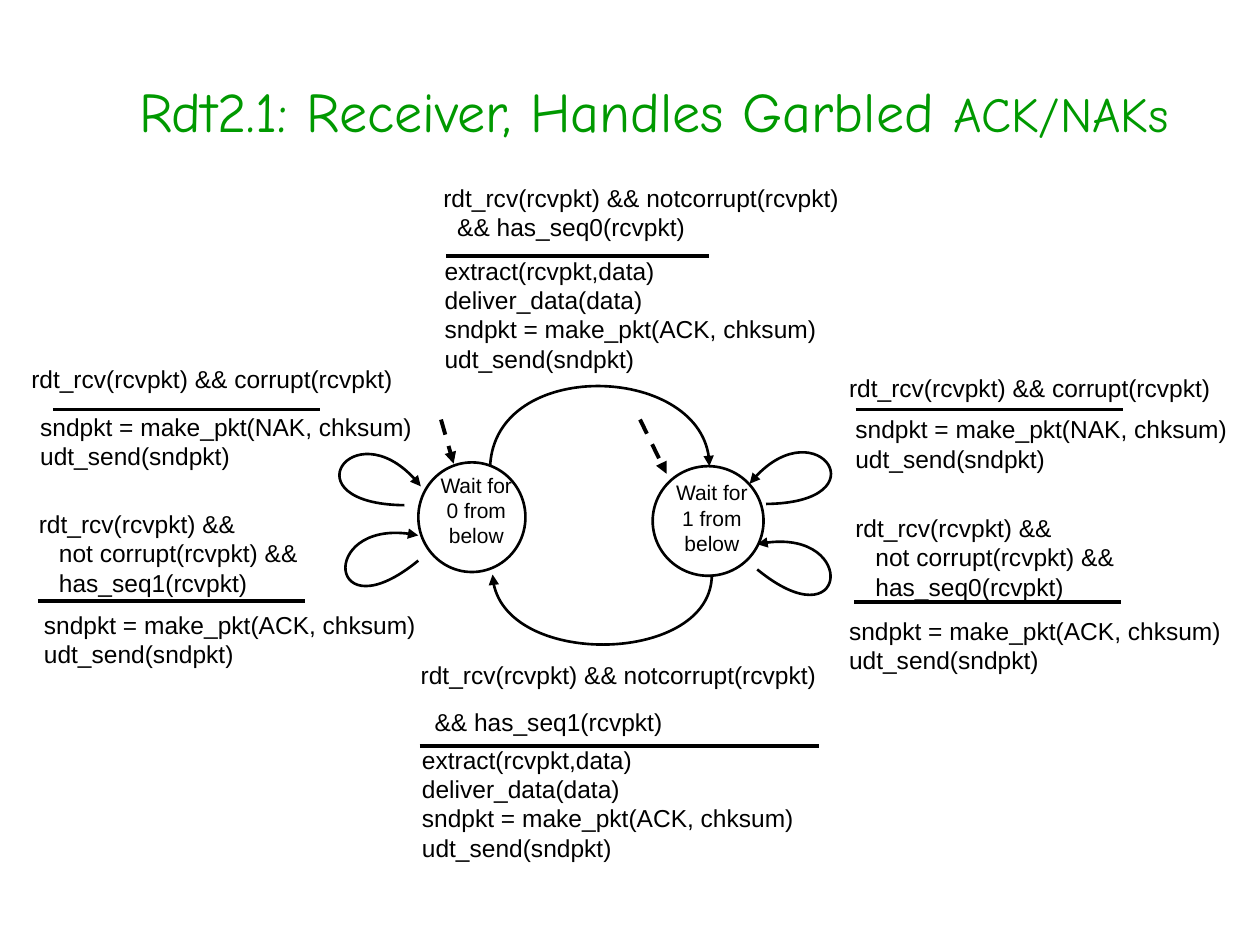
from dataclasses import dataclass

from lxml.etree import SubElement
from pptx import Presentation
from pptx.dml.color import RGBColor
from pptx.enum.dml import MSO_LINE
from pptx.enum.shapes import MSO_CONNECTOR, MSO_SHAPE
from pptx.enum.text import MSO_ANCHOR, MSO_AUTO_SIZE, PP_ALIGN
from pptx.oxml.ns import qn
from pptx.util import Inches, Pt

BLACK, WHITE, GREEN = "000000", "FFFFFF", "009900"
BODY_FONT, TITLE_FONT = "Arial", "Comic Neue"

Point = tuple[float, float]
Box = tuple[float, float, float, float]


@dataclass
class Label:
    box: Box
    lines: list[str]
    indent: float = 0  # inches, for every line after the first
    gap: float = 0  # points above every line after the first
    filled: bool = False


@dataclass
class State:
    circle: Box
    label: Box
    number: int


@dataclass
class Rule:
    """Horizontal line between a triggering event and its actions."""
    left: float
    right: float
    y: float


@dataclass
class Curve:
    start: Point
    control_1: Point
    control_2: Point
    end: Point


def send_reply(kind: str) -> list[str]:
    return [f"sndpkt = make_pkt({kind}, chksum)", "udt_send(sndpkt)"]


def accept(number: int) -> list[str]:
    return ["rdt_rcv(rcvpkt) && notcorrupt(rcvpkt)", f"&& has_seq{number}(rcvpkt)"]


def duplicate(number: int) -> list[str]:
    return ["rdt_rcv(rcvpkt) &&", "not corrupt(rcvpkt) &&", f"has_seq{number}(rcvpkt)"]


CORRUPT = ["rdt_rcv(rcvpkt) && corrupt(rcvpkt)"]
DELIVER = ["extract(rcvpkt,data)", "deliver_data(data)", *send_reply("ACK")]

LABELS = [
    # Left: loops on state 0
    Label((0.15, 2.84, 3.14, 0.67), CORRUPT, filled=True),
    Label((0.22, 3.22, 3.31, 0.45), send_reply("NAK"), filled=True),
    Label((0.21, 3.99, 2.87, 0.67), duplicate(1), indent=0.16, filled=True),
    Label((0.25, 4.79, 3.22, 0.45), send_reply("ACK"), filled=True),
    # Right: loops on state 1
    Label((6.64, 2.91, 3.14, 0.67), CORRUPT),
    Label((6.69, 3.24, 3.31, 0.45), send_reply("NAK")),
    Label((6.69, 4.02, 2.87, 0.67), duplicate(0), indent=0.16),
    Label((6.64, 4.84, 3.22, 0.45), send_reply("ACK")),
    # Top and bottom: moves between the states
    Label((3.42, 1.4, 4.35, 0.62), accept(0), indent=0.11),
    Label((3.43, 1.98, 3.8, 0.77), DELIVER),
    Label((3.24, 5.19, 3.92, 0.62), accept(1), indent=0.11, gap=10),
    Label((3.25, 5.86, 4.21, 1.09), DELIVER),
]

STATES = [
    State((3.32, 3.67, 0.85, 0.87), (3.34, 3.7, 0.88, 0.67), 0),
    State((5.18, 3.7, 0.88, 0.87), (5.21, 3.76, 0.88, 0.67), 1),
]

RULES = [
    Rule(0.42, 2.54, 3.25), Rule(0.3, 2.42, 4.77),
    Rule(6.79, 8.91, 3.25), Rule(6.78, 8.9, 4.78),
    Rule(3.54, 5.63, 2.03), Rule(3.33, 6.5, 5.92),
]

CURVES = [
    Curve((3.89, 3.7), (3.93, 2.84), (5.63, 2.89), (5.63, 3.7)),
    Curve((5.65, 4.56), (5.65, 5.27), (3.94, 5.31), (3.91, 4.56)),
    Curve((3.21, 4.01), (2.28, 4), (2.83, 3.21), (3.34, 3.86)),
    Curve((3.32, 4.45), (2.6, 5.04), (2.52, 4.08), (3.32, 4.25)),
    Curve((6.08, 4), (7.01, 3.99), (6.46, 3.2), (5.95, 3.84)),
    Curve((6.01, 4.52), (6.73, 5.11), (6.82, 4.15), (6.01, 4.32)),
]

ENTRY_ARROWS = [((3.5, 3.33), (3.6, 3.68)), ((5.08, 3.33), (5.29, 3.76))]


def color(value: str) -> RGBColor:
    return RGBColor.from_string(value)


def inches(values) -> list[int]:
    return [Inches(value) for value in values]


def add_run(paragraph, text: str, size: float, font: str = BODY_FONT, ink: str = BLACK) -> None:
    run = paragraph.add_run()
    run.text = text
    run.font.size, run.font.name = Pt(size), font
    run.font.color.rgb = color(ink)


def style_line(shape, width: float) -> None:
    shape.line.color.rgb = color(BLACK)
    shape.line.width = Pt(width)


def add_arrowhead(shape) -> None:
    SubElement(shape.line._get_or_add_ln(), qn("a:tailEnd"), type="triangle")


def add_title(slide) -> None:
    title = slide.shapes.title
    title.left, title.top, title.width, title.height = inches((0.46, 0.25, 9.46, 1.25))
    frame = title.text_frame
    frame.auto_size = MSO_AUTO_SIZE.NONE
    frame.vertical_anchor = MSO_ANCHOR.MIDDLE
    paragraph = frame.paragraphs[0]
    paragraph.alignment = PP_ALIGN.CENTER
    add_run(paragraph, "Rdt2.1: Receiver, Handles Garbled ", 32, TITLE_FONT, GREEN)
    add_run(paragraph, "ACK/NAKs", 28, TITLE_FONT, GREEN)


def add_text(shapes, box: Box, lines: list[str], size: float, align=PP_ALIGN.LEFT):
    text_box = shapes.add_textbox(*inches(box))
    frame = text_box.text_frame
    frame.word_wrap = True
    for index, line in enumerate(lines):
        paragraph = frame.add_paragraph() if index else frame.paragraphs[0]
        paragraph.alignment = align
        add_run(paragraph, line, size)
    return text_box


def add_label(slide, label: Label) -> None:
    text_box = add_text(slide.shapes, label.box, label.lines, 14)
    if label.filled:
        text_box.fill.solid()
        text_box.fill.fore_color.rgb = color(WHITE)
    for paragraph in text_box.text_frame.paragraphs[1:]:
        paragraph.space_before = Pt(label.gap)
        paragraph._p.get_or_add_pPr().set("marL", str(Inches(label.indent)))


def add_state(slide, state: State) -> None:
    group = slide.shapes.add_group_shape()
    circle = group.shapes.add_shape(MSO_SHAPE.OVAL, *inches(state.circle))
    circle.shadow.inherit = False
    circle.fill.solid()
    circle.fill.fore_color.rgb = color(WHITE)
    style_line(circle, 1.5)
    lines = ["Wait for", f"{state.number} from below"]
    add_text(group.shapes, state.label, lines, 12, PP_ALIGN.CENTER)


def add_line(slide, start: Point, end: Point):
    line = slide.shapes.add_connector(MSO_CONNECTOR.STRAIGHT, *inches((*start, *end)))
    style_line(line, 2.25)
    SubElement(line._element.spPr, qn("a:effectLst"))
    return line


def add_curve(slide, curve: Curve) -> None:
    """Draw a cubic Bezier arrow by merging three line segments into one curve."""
    builder = slide.shapes.build_freeform(*inches(curve.start))
    points = (curve.control_1, curve.control_2, curve.end)
    builder.add_line_segments([inches(point) for point in points], close=False)
    shape = builder.convert_to_shape()
    segments = list(shape._element.iter(qn("a:lnTo")))
    bezier = SubElement(segments[0].getparent(), qn("a:cubicBezTo"))
    for segment in segments:
        bezier.append(segment[0])
        segment.getparent().remove(segment)
    shape.shadow.inherit = False
    shape.fill.background()
    style_line(shape, 1.5)
    add_arrowhead(shape)


def main() -> None:
    presentation = Presentation()
    presentation.slide_width, presentation.slide_height = Inches(10), Inches(7.5)
    slide = presentation.slides.add_slide(presentation.slide_layouts[5])
    add_title(slide)
    for label in LABELS:
        add_label(slide, label)
    for state in STATES:
        add_state(slide, state)
    for rule in RULES:
        add_line(slide, (rule.left, rule.y), (rule.right, rule.y))
    for curve in CURVES:
        add_curve(slide, curve)
    for start, end in ENTRY_ARROWS:
        arrow = add_line(slide, start, end)
        arrow.line.dash_style = MSO_LINE.DASH
        add_arrowhead(arrow)
    presentation.save("out.pptx")


if __name__ == "__main__":
    main()
